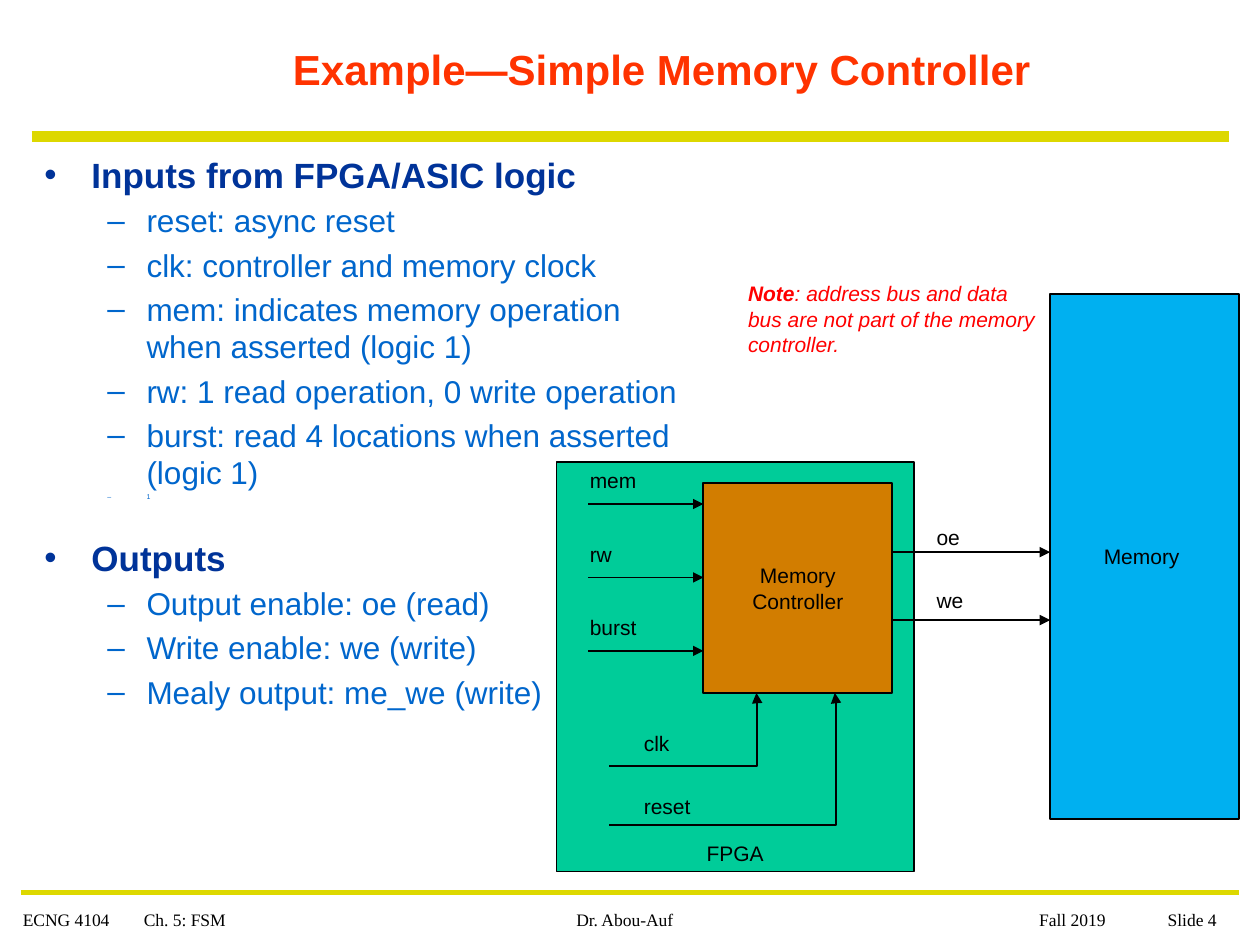
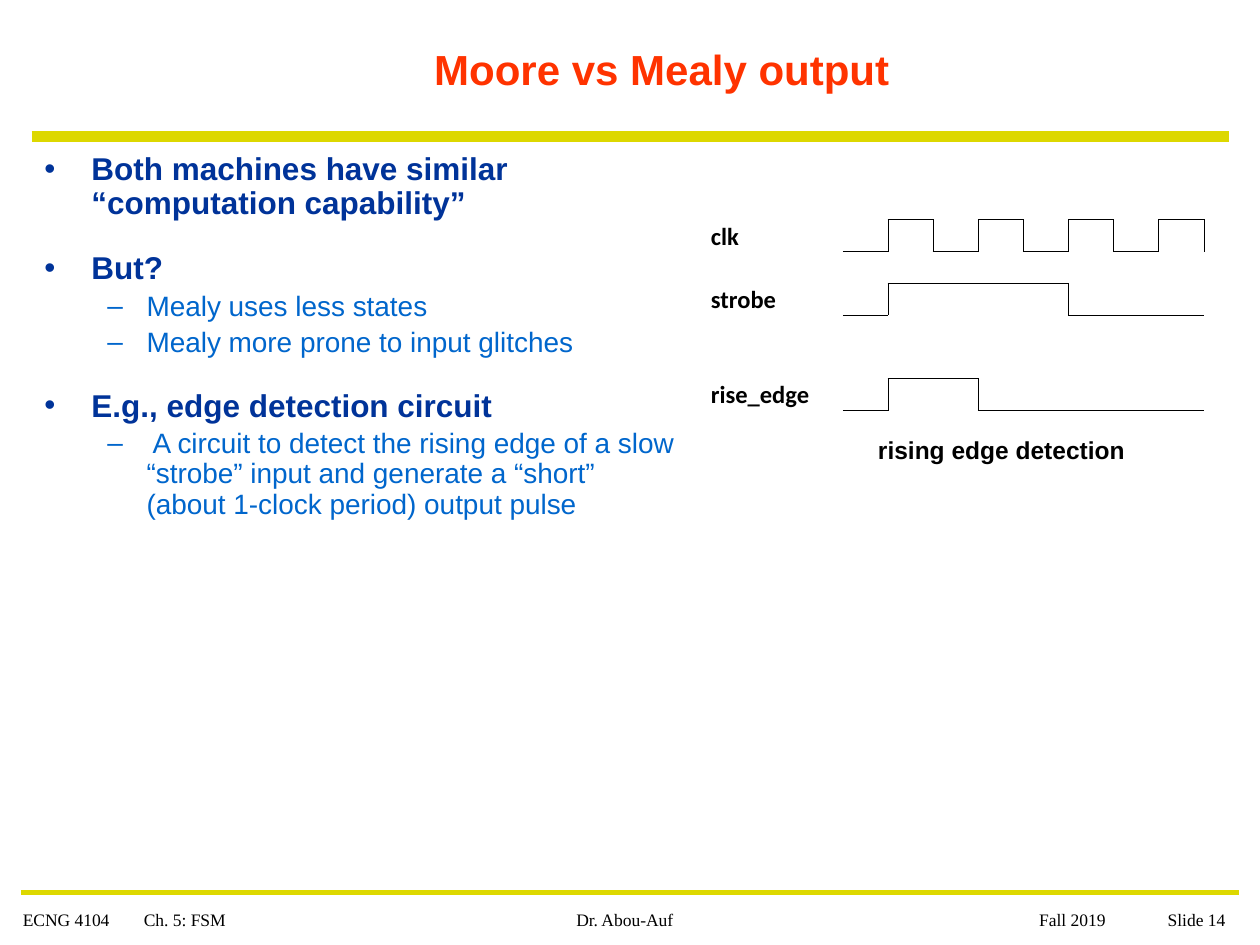
"""Build two lecture slides on a memory controller and on Moore and Mealy outputs."""
from collections import defaultdict

from lxml import etree
from pptx import Presentation
from pptx.dml.color import RGBColor
from pptx.enum.shapes import MSO_CONNECTOR, MSO_SHAPE
from pptx.enum.text import MSO_ANCHOR, MSO_AUTO_SIZE, PP_ALIGN
from pptx.oxml.ns import qn
from pptx.util import Cm, Pt

STRAIGHT, ELBOW = MSO_CONNECTOR.STRAIGHT, MSO_CONNECTOR.ELBOW
RECTANGLE = MSO_SHAPE.RECTANGLE
LEFT, CENTER = PP_ALIGN.LEFT, PP_ALIGN.CENTER
TOP, MIDDLE, BOTTOM = MSO_ANCHOR.TOP, MSO_ANCHOR.MIDDLE, MSO_ANCHOR.BOTTOM
NO_AUTOFIT = MSO_AUTO_SIZE.NONE

BLACK = "000000"
BAND = "DDD800"
TITLE = "FF3300"
NOTE = "FF0000"
SERIF = "Times New Roman"
NO_TABLE_STYLE = "{2D5ABB26-0587-4C30-8999-92F81FD0307C}"

LEVELS = (
    {"bullet": "•", "margin": 0.95, "hanging": 0.95, "color": "003399", "bold": True, "before": 1},
    {"bullet": "–", "margin": 2.06, "hanging": 0.79, "color": "0066CC", "bold": False, "before": 0.2},
)

CONTROLLER_ITEMS = (
    (0, "Inputs from FPGA/ASIC logic", 20),
    (1, "reset: async reset", 18),
    (1, "clk: controller and memory clock", 18),
    (1, "mem: indicates memory operation when asserted (logic 1)", 18),
    (1, "rw: 1 read operation, 0 write operation", 18),
    (1, "burst: read 4 locations when asserted (logic 1)", 18),
    (1, "1", 4),
    (0, "Outputs", 20),
    (1, "Output enable: oe (read)", 18),
    (1, "Write enable: we (write)", 18),
    (1, "Mealy output: me_we (write)", 18),
)
MOORE_MEALY_ITEMS = (
    (0, "Both machines have similar “computation capability”", 18),
    (0, "But?", 18),
    (1, "Mealy uses less states", 16),
    (1, "Mealy more prone to input glitches", 16),
    (0, "E.g., edge detection circuit", 18),
    (1, " A circuit to detect the rising edge of a slow “strobe” input and "
        "generate a “short” (about 1-clock period) output pulse", 16),
)
WAVEFORMS = {0: ("clk", "01010101 "), 2: ("strobe", "01111000"), 5: ("rise_edge", "01100000")}
MIRRORED_SIDES = {"L": (0, -1, "R"), "R": (0, 1, "L"), "T": (-1, 0, "B"), "B": (1, 0, "T")}


def rgb(color):
    """Turn a hex string into a colour."""
    return RGBColor.from_string(color)


def set_font(font, size, color=BLACK, name="Arial", bold=False, italic=False):
    """Format a font."""
    font.size, font.name, font.bold, font.italic = Pt(size), name, bold, italic
    font.color.rgb = rgb(color)


def place(shape, left, top, width, height):
    """Move and size a shape, in centimetres."""
    shape.left, shape.top, shape.width, shape.height = Cm(left), Cm(top), Cm(width), Cm(height)


def add_text(slide, text, box, size=12, align=LEFT, tab=None, **font):
    """Add a text box of one paragraph, with an optional tab stop."""
    frame = slide.shapes.add_textbox(*map(Cm, box)).text_frame
    frame.word_wrap = True
    paragraph = frame.paragraphs[0]
    paragraph.text = text
    paragraph.alignment = align
    if tab:
        stops = etree.SubElement(paragraph._p.get_or_add_pPr(), qn("a:tabLst"))
        etree.SubElement(stops, qn("a:tab"), pos=str(Cm(tab)), algn="l")
    set_font(paragraph.font, size, **font)
    return paragraph


def add_line(slide, start, end, width=1, color=BLACK, kind=STRAIGHT, arrow=False):
    """Add a straight or elbow connector, with an optional arrowhead."""
    connector = slide.shapes.add_connector(kind, *map(Cm, (*start, *end)))
    connector.line.width = Pt(width)
    connector.line.color.rgb = rgb(color)
    properties = connector._element.spPr
    if kind == ELBOW:
        adjustments = properties.find(qn("a:prstGeom")).find(qn("a:avLst"))
        etree.SubElement(adjustments, qn("a:gd"), name="adj1", fmla="val 100500")
    if arrow:
        etree.SubElement(properties.find(qn("a:ln")), qn("a:tailEnd"), type="triangle")
    etree.SubElement(properties, qn("a:effectLst"))


def add_block(slide, text, box, fill, anchor=MIDDLE):
    """Add a labelled rectangle of the block diagram."""
    shape = slide.shapes.add_shape(RECTANGLE, *map(Cm, box))
    shape.shadow.inherit = False
    shape.fill.solid()
    shape.fill.fore_color.rgb = rgb(fill)
    shape.line.color.rgb = rgb(BLACK)
    shape.line.width = Pt(1)
    frame = shape.text_frame
    frame.word_wrap = True
    frame.vertical_anchor = anchor
    paragraph = frame.paragraphs[0]
    paragraph.text = text
    paragraph.alignment = CENTER
    set_font(paragraph.font, 12)


def add_signal(slide, name, label_at, start, end, kind=STRAIGHT):
    """Add a signal arrow and its name."""
    add_line(slide, start, end, kind=kind, arrow=True)
    add_text(slide, name, (*label_at, 1.8, 0.77))


def add_list_item(paragraph, level, text, size, spacing, first):
    """Write one bulleted paragraph."""
    style = LEVELS[level]
    paragraph.text = text
    paragraph.level = level
    properties = paragraph._p.get_or_add_pPr()
    properties.set("marL", str(Cm(style["margin"])))
    properties.set("indent", str(-Cm(style["hanging"])))
    etree.SubElement(properties, qn("a:buChar"), char=style["bullet"])
    paragraph.line_spacing = spacing
    paragraph.space_before = Pt(0 if first else size * style["before"])
    set_font(paragraph.font, size, style["color"], bold=style["bold"])


def add_content_slide(presentation, title, number, items, body_size, spacing=1.0):
    """Add a slide with title, bands, footer and bulleted list."""
    slide = presentation.slides.add_slide(presentation.slide_layouts[1])
    add_line(slide, (0.64, 2.75), (24.77, 2.75), 6, BAND)
    add_line(slide, (0.42, 17.99), (24.98, 17.99), 3, BAND)

    heading = slide.shapes.title
    place(heading, 3.18, 0, 20.32, 2.75)
    heading.text_frame.auto_size = NO_AUTOFIT
    heading.text_frame.vertical_anchor = MIDDLE
    paragraph = heading.text_frame.paragraphs[0]
    paragraph.text = title
    paragraph.alignment = CENTER
    set_font(paragraph.font, 24, TITLE, bold=True)

    body = slide.placeholders[1]
    place(body, 0.64, 2.96, *body_size)
    frame = body.text_frame
    frame.auto_size = NO_AUTOFIT
    frame.vertical_anchor = TOP
    for index, item in enumerate(items):
        paragraph = frame.add_paragraph() if index else frame.paragraphs[0]
        add_list_item(paragraph, *item, spacing, first=index == 0)

    footers = (
        ("ECNG 4104\tCh. 5: FSM", 0.21, 8.47, LEFT, 2.44),
        ("Dr. Abou-Auf", 10.37, 4.45, CENTER, None),
        (f"Fall 2019\tSlide {number}", 20.7, 4.5, LEFT, 2.59),
    )
    for text, left, width, align, tab in footers:
        add_text(slide, text, (left, 18.2, width, 0.85), 10, align, tab, name=SERIF)
    return slide


def add_block_diagram(slide):
    """Draw the FPGA, its controller, the memory and their signals."""
    add_block(slide, "FPGA", (11.22, 9.31, 7.2, 8.26), "00CC99", BOTTOM)
    add_block(slide, "Memory Controller", (14.18, 9.74, 3.81, 4.23), "D27D00")
    add_block(slide, "Memory ", (21.17, 5.93, 3.81, 10.58), "00B0F0")
    for index, name in enumerate(("mem", "rw", "burst")):
        y = 10.16 + 1.48 * index
        add_signal(slide, name, (11.64, y - 0.85), (11.86, y), (14.18, y))
    for name, y, label_top in (("oe", 11.13, 10.44), ("we", 12.5, 11.71)):
        add_signal(slide, name, (18.63, label_top), (17.99, y), (21.17, y))
    for name, x, y, label_top in (("clk", 15.25, 15.44, 14.61), ("reset", 16.83, 16.64, 15.88)):
        add_signal(slide, name, (12.73, label_top), (12.28, y), (x, 13.97), ELBOW)


def add_note(slide):
    """Add the remark on the buses, with a bold first word."""
    paragraph = add_text(slide, "Note", (14.83, 5.54, 6.35, 1.8), color=NOTE, italic=True)
    paragraph.runs[0].font.bold = True
    paragraph.add_run().text = ": address bus and data bus are not part of the memory controller."


def waveform_borders():
    """Map each table cell to the sides on which a waveform runs."""
    borders = defaultdict(set)

    def mark(row, column, side):
        """Mark a side on its cell and on the neighbour."""
        down, right, mirrored = MIRRORED_SIDES[side]
        borders[row, column].add(side)
        borders[row + down, column + right].add(mirrored)

    for row, (_, levels) in WAVEFORMS.items():
        for column, level in enumerate(levels, start=1):
            if level != " ":
                mark(row, column, "T" if level == "1" else "B")
            if levels[column:] and levels[column] != level:
                mark(row, column, "R")
    return borders


def format_cell(cell, label, sides):
    """Write a cell's label and set all four borders, drawn or empty."""
    cell.margin_left = Cm(0.03)
    cell.margin_right = cell.margin_top = cell.margin_bottom = 0
    cell.vertical_anchor = BOTTOM
    paragraph = cell.text_frame.paragraphs[0]
    if label:
        cell.text_frame.word_wrap = True
        paragraph.text = label
        set_font(paragraph.font, 14, name="Calibri", bold=True)
    else:
        etree.SubElement(paragraph._p, qn("a:endParaRPr"), sz="800")
    properties = cell._tc.get_or_add_tcPr()
    for side in "LRTB":
        line = etree.SubElement(properties, qn(f"a:ln{side}"), w=str(Pt(0.5)))
        if side in sides:
            fill = etree.SubElement(line, qn("a:solidFill"))
            etree.SubElement(fill, qn("a:srgbClr"), val=BLACK)
        else:
            etree.SubElement(line, qn("a:noFill"))
    cell.fill.background()


def add_timing_table(slide):
    """Draw the timing diagram as a table with partial borders."""
    widths = [2.69] + [0.91] * 9
    row_count, row_height = 6, 0.64
    frame = slide.shapes.add_table(row_count, len(widths), Cm(14.3), Cm(4.43),
                                   Cm(sum(widths)), Cm(row_count * row_height))
    table = frame.table
    table.first_row = table.horz_banding = False
    table._tbl.tblPr.find(qn("a:tableStyleId")).text = NO_TABLE_STYLE
    for column, width in zip(table.columns, widths):
        column.width = Cm(width)
    borders = waveform_borders()
    for row_index, row in enumerate(table.rows):
        row.height = Cm(row_height)
        name = WAVEFORMS.get(row_index, ("",))[0]
        for column_index, cell in enumerate(row.cells):
            label = "" if column_index else name
            format_cell(cell, label, borders[row_index, column_index])


def main():
    """Build and save the presentation."""
    presentation = Presentation()
    presentation.slide_width, presentation.slide_height = Cm(25.4), Cm(19.05)

    slide = add_content_slide(presentation, "Example—Simple Memory Controller", 4,
                              CONTROLLER_ITEMS, (13.55, 13.55))
    add_block_diagram(slide)
    add_note(slide)

    slide = add_content_slide(presentation, "Moore vs Mealy output", 14,
                              MOORE_MEALY_ITEMS, (13.34, 8.68), spacing=0.9)
    add_timing_table(slide)
    add_text(slide, "rising edge detection", (17.45, 8.64, 6.5, 0.86), 14, bold=True)

    presentation.save("out.pptx")


if __name__ == "__main__":
    main()
